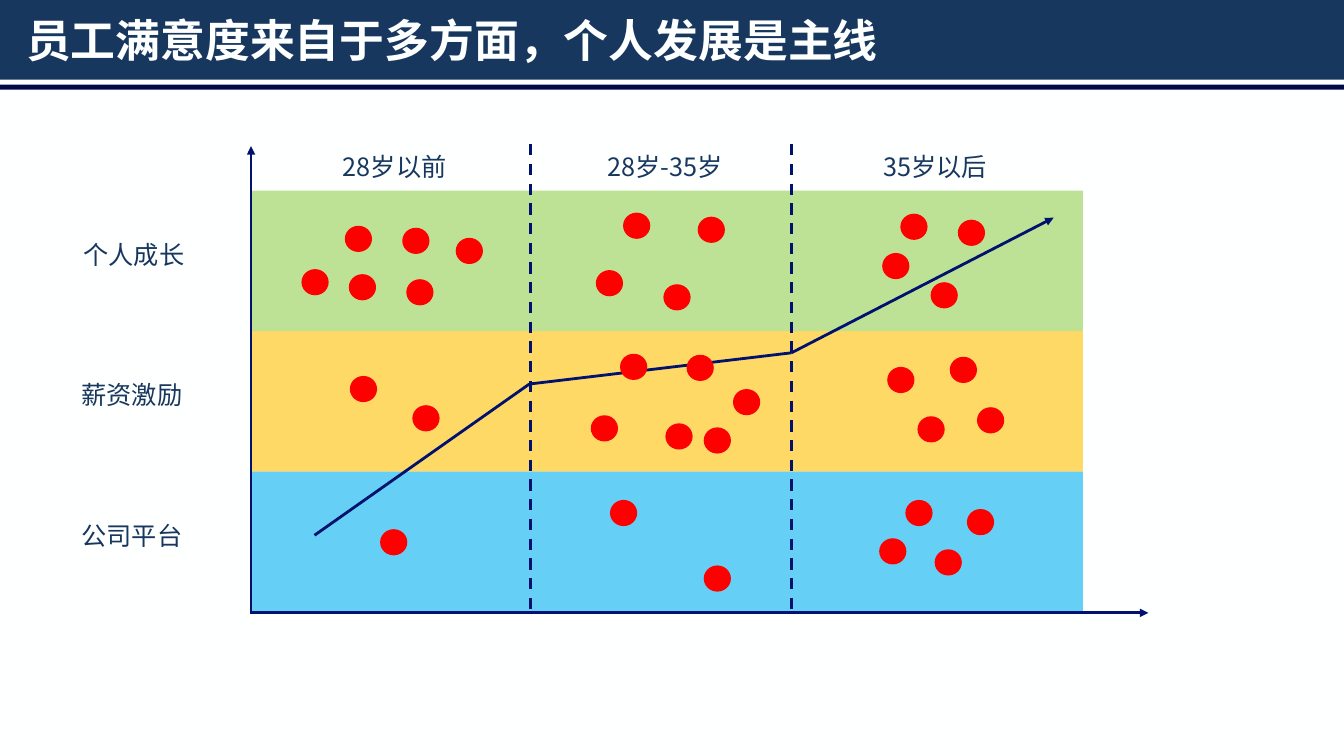
from lxml import etree
from pptx import Presentation
from pptx.dml.color import RGBColor
from pptx.enum import dml, shapes, text
from pptx.oxml import ns
from pptx.util import Inches, Pt

FONT = "Noto Sans CJK SC"
COLORS = {
    "paper": "FEFFFF", "navy": "17375E", "rule": "000C49", "line": "01126E",
    "growth": "92D050", "pay": "FFC000", "platform": "00B0F0", "dot": "FF0000",
}

deck = Presentation()
deck.slide_width, deck.slide_height = Inches(13.33), Inches(7.5)
page = deck.slides.add_slide(deck.slide_layouts[6])
page.background.fill.solid()
page.background.fill.fore_color.rgb = RGBColor.from_string(COLORS["paper"])


def add_filled(kind, left, top, width, height, color):
    shape = page.shapes.add_shape(
        kind, Inches(left), Inches(top), Inches(width), Inches(height))
    shape.shadow.inherit = False
    shape.fill.solid()
    shape.fill.fore_color.rgb = RGBColor.from_string(COLORS[color])
    shape.line.fill.background()
    return shape


def add_label(words, left, top, width, height, align, size=18, color="navy", bold=False):
    box = page.shapes.add_textbox(
        Inches(left), Inches(top), Inches(width), Inches(height))
    frame = box.text_frame
    frame.word_wrap = True
    frame.vertical_anchor = text.MSO_ANCHOR.MIDDLE
    para = frame.paragraphs[0]
    para.alignment = align
    span = para.add_run()
    span.text = words
    span.font.size = Pt(size)
    span.font.bold = bold
    span.font.color.rgb = RGBColor.from_string(COLORS[color])
    span.font.name = FONT
    east_asian = etree.SubElement(span.font._element, ns.qn("a:ea"))
    east_asian.set("typeface", FONT)


# Title band
rectangle = shapes.MSO_SHAPE.RECTANGLE
add_filled(rectangle, 0, 0, 13.33, 0.79, "navy")
add_filled(rectangle, 0, 0.84, 13.33, 0.05, "rule")
left_align, centre = text.PP_ALIGN.LEFT, text.PP_ALIGN.CENTER
add_label("员工满意度来自于多方面，个人发展是主线", 0.16, 0.09, 13.02, 0.6,
          left_align, 32, "paper", True)

# Translucent bands, one for each source of satisfaction
band_top, band_height = 1.89, 1.395
bands = [("个人成长", 0.73, "growth"), ("薪资激励", 0.71, "pay"), ("公司平台", 0.71, "platform")]
for row, (words, left, color) in enumerate(bands):
    top = band_top + row * band_height
    band = add_filled(rectangle, 2.49, top, 8.25, band_height, color)
    fill_color = band._element.spPr.find(ns.qn("a:solidFill"))[0]
    etree.SubElement(fill_color, ns.qn("a:alpha")).set("val", "60000")
    add_label(words, left, top + 0.43, 1.57, 0.4, left_align)

# Axes, career path and age dividers: start, end, arrowhead, dashed
lines = [
    ((2.49, 6.09), (2.49, 1.45), True, False),
    ((2.49, 6.08), (11.39, 6.08), True, False),
    ((3.12, 5.31), (5.25, 3.81), False, False),
    ((5.25, 3.81), (7.85, 3.5), False, False),
    ((7.85, 3.5), (10.45, 2.16), True, False),
    ((5.26, 1.43), (5.26, 6.06), False, True),
    ((7.85, 1.43), (7.85, 6.06), False, True),
]
for start, end, arrow, dashed in lines:
    line = page.shapes.add_connector(
        shapes.MSO_CONNECTOR.STRAIGHT, *map(Inches, start + end))
    line.line.color.rgb = RGBColor.from_string(COLORS["line"])
    line.line.width = Pt(2)
    if dashed:
        line.line.dash_style = dml.MSO_LINE.DASH
    properties = line._element.spPr
    if arrow:
        outline = properties.find(ns.qn("a:ln"))
        etree.SubElement(outline, ns.qn("a:tailEnd")).set("type", "triangle")
    etree.SubElement(properties, ns.qn("a:effectLst"))

for words, left in [("28岁以前", 2.89), ("28岁-35岁", 5.57), ("35岁以后", 8.25)]:
    add_label(words, left, 1.45, 2.05, 0.4, centre)

# Top left corners of the dots, by age group and band
dots = {
    ("before 28", "growth"): [(3.99, 2.26), (3.42, 2.24), (2.99, 2.67), (3.46, 2.72),
                              (4.03, 2.77), (4.52, 2.36)],
    ("before 28", "pay"): [(3.47, 3.73), (4.09, 4.02)],
    ("before 28", "platform"): [(3.77, 5.25)],
    ("28 to 35", "growth"): [(6.18, 2.11), (6.92, 2.15), (5.91, 2.68), (6.58, 2.82)],
    ("28 to 35", "pay"): [(6.15, 3.51), (6.81, 3.52), (7.27, 3.86), (6.98, 4.24),
                          (6.6, 4.2), (5.86, 4.12)],
    ("28 to 35", "platform"): [(6.05, 4.96), (6.98, 5.61)],
    ("after 35", "growth"): [(8.93, 2.12), (9.5, 2.18), (8.75, 2.51), (9.23, 2.8)],
    ("after 35", "pay"): [(8.8, 3.64), (9.42, 3.54), (9.1, 4.13), (9.69, 4.04)],
    ("after 35", "platform"): [(8.98, 4.96), (9.59, 5.05), (8.72, 5.34), (9.27, 5.45)],
}
for corners in dots.values():
    for left, top in corners:
        add_filled(shapes.MSO_SHAPE.FLOWCHART_CONNECTOR, left, top, 0.27, 0.26, "dot")

deck.save("out.pptx")
